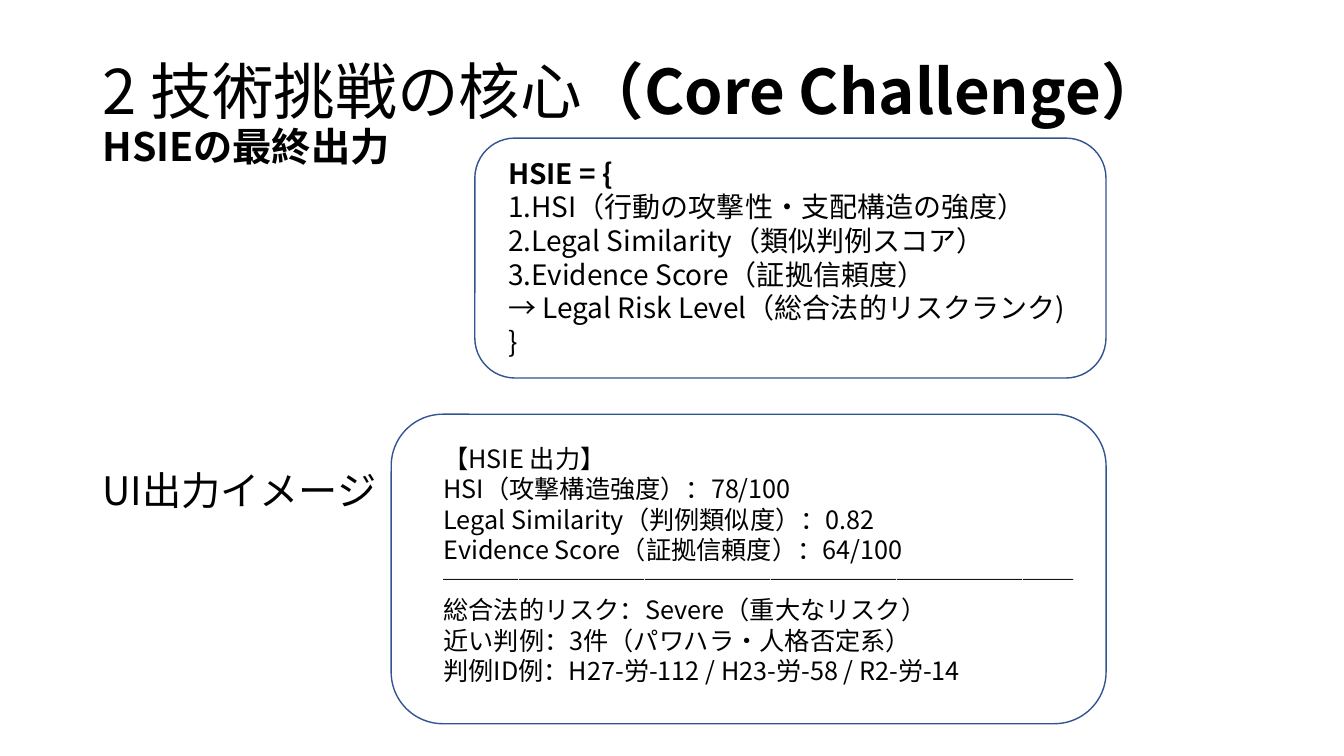
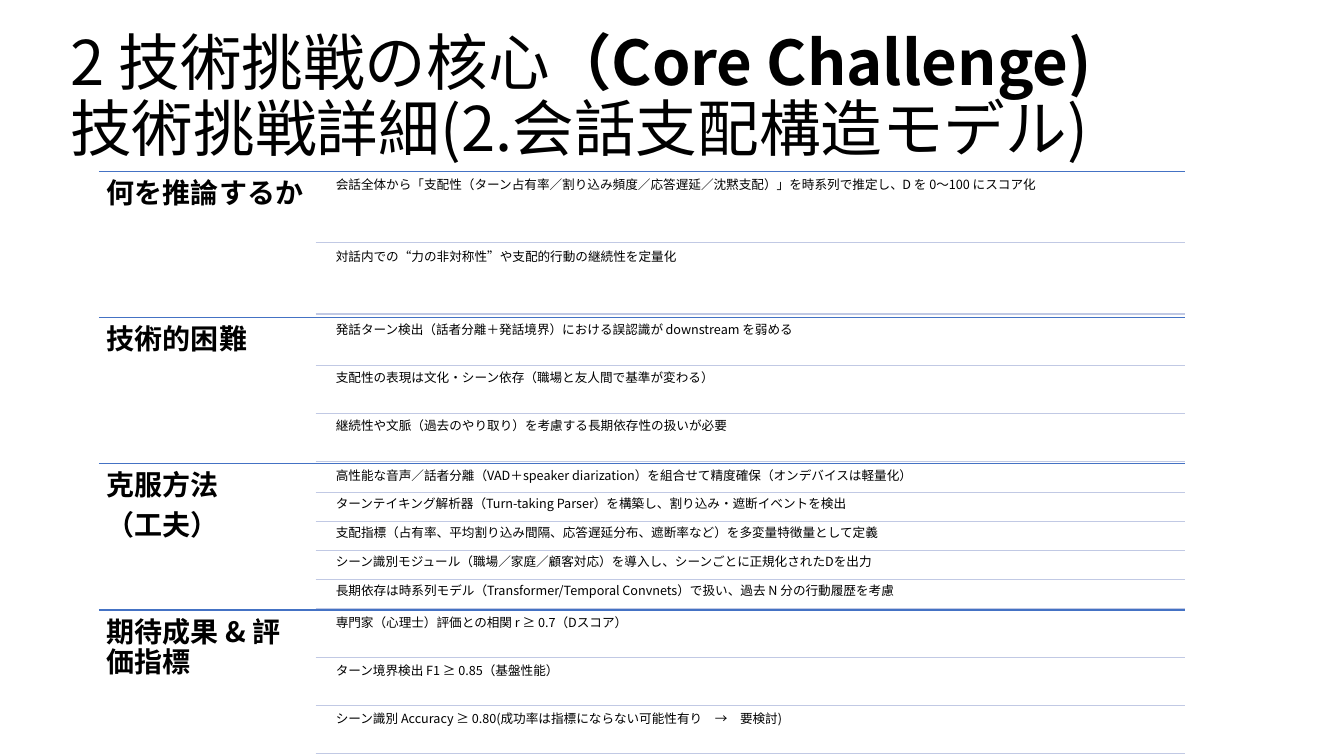
from lxml import etree
from pptx import Presentation
from pptx.dml.color import RGBColor
from pptx.enum import shapes, text
from pptx.oxml import ns
from pptx.util import Inches, Pt

FONT = "Noto Sans CJK JP"
BLACK = RGBColor(0x00, 0x00, 0x00)
FRAME_BLUE = RGBColor(0x32, 0x54, 0x91)
BAND_BLUE = RGBColor(0x44, 0x72, 0xC4)
ROW_BLUE = RGBColor(0xC1, 0xC9, 0xE4)
HEADING = "2 技術挑戦の核心"


def add_text(page, left, top, width, height, lines, size, bold=False,
             inset=None, spacing=None, after=0):
    """Add a text box with one paragraph per line and return its frame."""
    box = page.shapes.add_textbox(Inches(left), Inches(top), Inches(width), Inches(height))
    frame = box.text_frame
    frame.word_wrap = True
    if inset is not None:
        frame.margin_left = frame.margin_right = Inches(inset)
        frame.margin_top = frame.margin_bottom = Inches(inset)
    for index, line in enumerate(lines):
        para = frame.paragraphs[0] if index == 0 else frame.add_paragraph()
        para.text = line
        para.line_spacing = spacing
        para.space_after = Pt(after)
        font = para.font
        font.name, font.size, font.bold = FONT, Pt(size), bold
        font.color.rgb = BLACK
        properties = para._p.pPr.find(ns.qn("a:defRPr"))
        latin = properties.find(ns.qn("a:latin"))
        east_asian = etree.Element(ns.qn("a:ea"), typeface=FONT)
        latin.addnext(east_asian)
    return frame


def add_title(page, left, top, height, english, second_line):
    """Add the shared heading; return the run of its second line."""
    frame = add_text(page, left, top, 11.5, height, [HEADING], 44, spacing=0.9)
    frame.vertical_anchor = text.MSO_ANCHOR.MIDDLE
    para = frame.paragraphs[0]
    span = para.add_run()
    span.text = english
    span.font.bold = True
    para.add_line_break()
    span = para.add_run()
    span.text = second_line
    return span


deck = Presentation()
deck.slide_width, deck.slide_height = Inches(13.33), Inches(7.5)
blank = deck.slide_layouts[6]

# Slide 1: frames
page = deck.slides.add_slide(blank)
for left, top, width, height in [(3.88, 4.11, 7.09, 3.07), (4.71, 1.37, 6.26, 2.38)]:
    panel = page.shapes.add_shape(shapes.MSO_SHAPE.ROUNDED_RECTANGLE, Inches(left),
                                  Inches(top), Inches(width), Inches(height))
    panel.shadow.inherit = False
    panel.fill.background()
    panel.line.color.rgb = FRAME_BLUE
    panel.line.width = Pt(1)

# Slide 1: title
subtitle = add_title(page, 0.92, 0.32, 1.65, "（Core Challenge）", "HSIEの最終出力")
subtitle.font.size = Pt(28)
subtitle.font.bold = True

# Slide 1: definition with numbered items
definition = add_text(page, 4.94, 1.5, 6.68, 2.12, [
    "HSIE = {",
    "HSI（行動の攻撃性・支配構造の強度）",
    "Legal Similarity（類似判例スコア）",
    "Evidence Score（証拠信頼度）\v→ Legal Risk Level（総合法的リスクランク)",
    "}",
], 20)
definition.paragraphs[0].font.bold = True
for para in definition.paragraphs[1:4]:
    number = etree.Element(ns.qn("a:buAutoNum"), type="arabicPeriod")
    para._p.pPr.find(ns.qn("a:defRPr")).addprevious(number)

# Slide 1: sample output
add_text(page, 0.92, 4.58, 2.96, 0.57, ["UI出力イメージ"], 28)
add_text(page, 4.3, 4.35, 6.67, 2.52, [
    "【HSIE 出力】",
    "HSI（攻撃構造強度）：78/100",
    "Legal Similarity（判例類似度）：0.82",
    "Evidence Score（証拠信頼度）：64/100",
    "─" * 25,
    "総合法的リスク：Severe（重大なリスク）",
    "近い判例：3件（パワハラ・人格否定系）",
    "判例ID例：H27-労-112 / H23-労-58 / R2-労-14",
], 18)

# Slide 2: title
page = deck.slides.add_slide(blank)
add_title(page, 0.6, 0.25, 1.45, "（Core Challenge)", "技術挑戦詳細(2.会話支配構造モデル)")

# Slide 2: bands of equal height, each split evenly into rows
BANDS = [
    (["何を推論するか"], [
        "会話全体から「支配性（ターン占有率／割り込み頻度／応答遅延／沈黙支配）」を時系列で推定し、D を 0〜100 にスコア化",
        "対話内での“力の非対称性”や支配的行動の継続性を定量化",
    ]),
    (["技術的困難"], [
        "発話ターン検出（話者分離＋発話境界）における誤認識が downstream を弱める",
        "支配性の表現は文化・シーン依存（職場と友人間で基準が変わる）",
        "継続性や文脈（過去のやり取り）を考慮する長期依存性の扱いが必要",
    ]),
    (["克服方法", "（工夫）"], [
        "高性能な音声／話者分離（VAD＋speaker diarization）を組合せて精度確保（オンデバイスは軽量化）",
        "ターンテイキング解析器（Turn-taking Parser）を構築し、割り込み・遮断イベントを検出",
        "支配指標（占有率、平均割り込み間隔、応答遅延分布、遮断率など）を多変量特徴量として定義",
        "シーン識別モジュール（職場／家庭／顧客対応）を導入し、シーンごとに正規化されたDを出力",
        "長期依存は時系列モデル（Transformer/Temporal Convnets）で扱い、過去 N 分の行動履歴を考慮",
    ]),
    (["期待成果 & 評価指標"], [
        "専門家（心理士）評価との相関 r ≥ 0.7（Dスコア）",
        "ターン境界検出 F1 ≥ 0.85（基盤性能）",
        "シーン識別 Accuracy ≥ 0.80(成功率は指標にならない可能性有り　→　要検討)",
    ]),
]
BAND_LEFT, ROW_LEFT, RIGHT = 0.98, 3.13, 11.75
BANDS_TOP, BAND_HEIGHT = 1.7, 1.45
GAP_SHARE = 0.05  # gap between rows as a share of the row height

rules = []
for band, (label, rows) in enumerate(BANDS):
    top = BANDS_TOP + band * BAND_HEIGHT
    rules.append((BAND_LEFT, top, BAND_BLUE))
    add_text(page, BAND_LEFT, top, ROW_LEFT - BAND_LEFT, BAND_HEIGHT, label, 20,
             bold=True, inset=0.08, spacing=0.9, after=7)
    row_height = BAND_HEIGHT / (len(rows) * (1 + GAP_SHARE) + GAP_SHARE)
    gap = row_height * GAP_SHARE
    for index, row in enumerate(rows):
        row_top = top + gap + index * (row_height + gap)
        add_text(page, 3.29, row_top, 8.45, row_height, [row], 9,
                 inset=0.04, spacing=0.9, after=3)
        rules.append((ROW_LEFT, row_top + row_height, ROW_BLUE))

# Slide 2: rules above bands and below rows
for left, height, color in rules:
    rule = page.shapes.add_connector(shapes.MSO_CONNECTOR.STRAIGHT, Inches(left),
                                     Inches(height), Inches(RIGHT), Inches(height))
    rule.line.color.rgb = color
    rule.line.width = Pt(1)
    etree.SubElement(rule._element.spPr, ns.qn("a:effectLst"))

deck.save("out.pptx")
